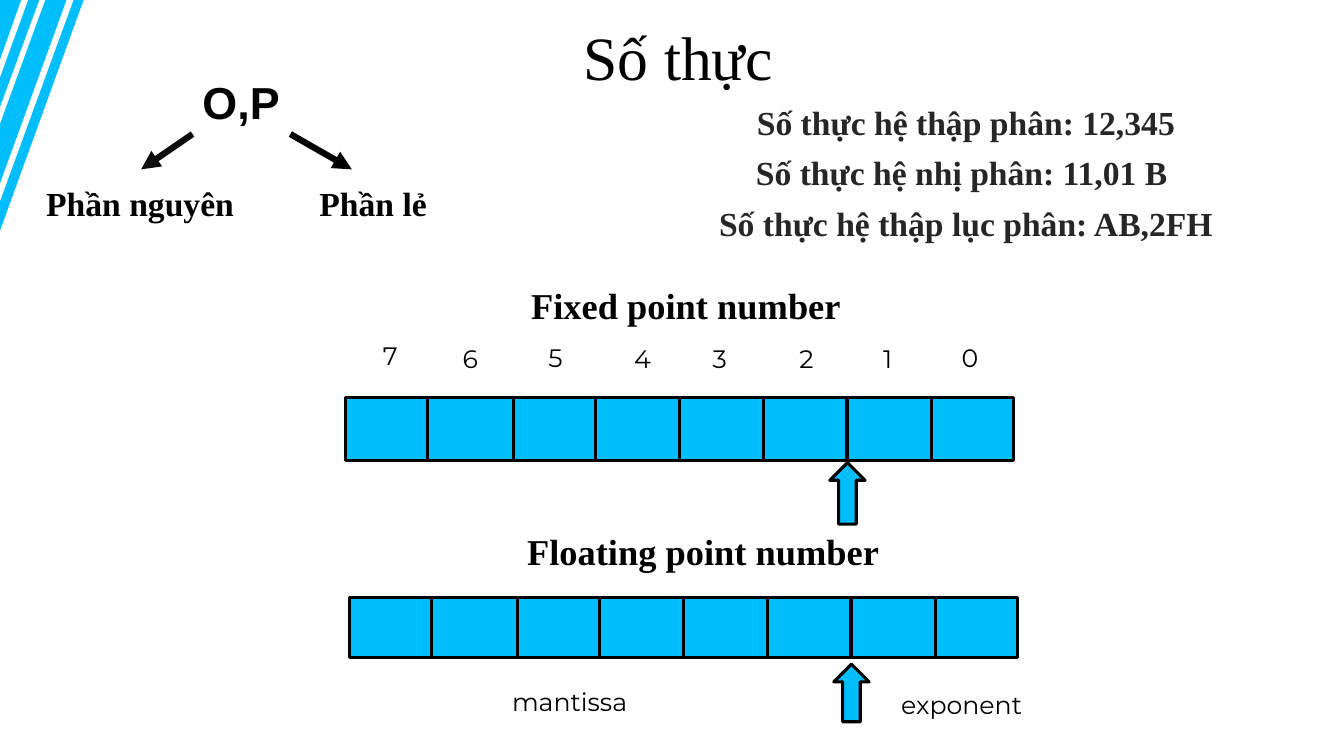
from lxml.etree import SubElement
from pptx import Presentation
from pptx.dml.color import RGBColor
from pptx.enum.shapes import MSO_CONNECTOR as Connector, MSO_SHAPE as Shape
from pptx.enum.text import MSO_ANCHOR as Anchor, MSO_AUTO_SIZE as AutoSize, PP_ALIGN as Align
from pptx.oxml.ns import qn
from pptx.util import Inches, Pt

BLUE, BLACK = "00BDFB", "000000"
SERIF = "Times New Roman"


def color(hex_code):
    return RGBColor.from_string(hex_code)


def add_text(page, text, left, top, width, height, size=18, font="Montserrat", ink=BLACK,
             bold=False, wrap=False, align=Align.LEFT, anchor=Anchor.TOP, spacing=1.0, before=0):
    box = page.shapes.add_textbox(Inches(left), Inches(top), Inches(width), Inches(height))
    frame = box.text_frame
    frame.word_wrap = wrap
    frame.auto_size = AutoSize.NONE if wrap else AutoSize.SHAPE_TO_FIT_TEXT
    frame.vertical_anchor = anchor
    for index, line in enumerate(text.split("\n")):
        para = frame.add_paragraph() if index else frame.paragraphs[0]
        para.alignment = align
        para.line_spacing = spacing
        if index:
            para.space_before = Pt(before)
        span = para.add_run()
        span.text = line
        span.font.name = font
        span.font.size = Pt(size)
        span.font.bold = bold
        span.font.color.rgb = color(ink)


deck = Presentation()
deck.slide_width, deck.slide_height = Inches(13.33), Inches(7.5)
page = deck.slides.add_slide(deck.slide_layouts[6])
shapes = page.shapes

# Corner stripes: each runs from the top edge to the left edge
stripes = [
    [(0.73, 0), (0.83, 0), (0, 2.29), (0, 2)],
    [(0.45, 0), (0.66, 0), (0, 1.82), (0, 1.23)],
    [(0.28, 0), (0.39, 0), (0, 1.06), (0, 0.77)],
    [(0, 0), (0.21, 0), (0, 0.59)],
]
for stripe in stripes:
    corners = [(Inches(x), Inches(y)) for x, y in stripe]
    builder = shapes.build_freeform(*corners[0])
    builder.add_line_segments(corners[1:], close=True)
    band = builder.convert_to_shape()
    band.shadow.inherit = False
    band.fill.solid()
    band.fill.fore_color.rgb = color(BLUE)
    band.line.fill.background()

# Title and examples
add_text(page, "Số thực", 5.69, 0.2, 4.42, 0.81, size=44, font=SERIF, wrap=True,
         anchor=Anchor.MIDDLE, spacing=0.9)
add_text(page, "Số thực hệ thập phân: 12,345\nSố thực hệ nhị phân: 11,01 B \n"
         "Số thực hệ thập lục phân: AB,2FH", 6.66, 1.08, 5.84, 1.31, size=24, font=SERIF,
         ink="262626", bold=True, wrap=True, align=Align.CENTER, anchor=Anchor.MIDDLE,
         spacing=0.9, before=10)

# Integer and fraction parts
add_text(page, "O,P", 1.91, 0.69, 0.98, 0.64, size=32, font="Arial", bold=True)
add_text(page, "Phần nguyên", 0.36, 1.77, 2.08, 0.5, size=24, font=SERIF, bold=True)
add_text(page, "Phần lẻ", 3.07, 1.77, 1.28, 0.5, size=24, font=SERIF, bold=True)

# Lines: start x, start y, end x, end y, colour, weight, arrowhead, joined register
lines = [
    (1.91, 1.33, 1.4, 1.68, "0D0D0D", 4.5, True, None),
    (2.88, 1.33, 3.49, 1.68, BLACK, 4.5, True, None),
]

# Headings and 8-bit registers, each with a pointer at the binary point
add_text(page, "Fixed point number", 5.17, 2.76, 3.3, 0.54, size=26, font=SERIF, bold=True)
add_text(page, "Floating point number", 5.13, 5.2, 3.73, 0.54, size=26, font=SERIF, bold=True)
register_width = 6.62
middle = register_width / 2
dividers = [0.81, 1.66, 2.48, middle, 4.14, 4.97, 5.81]
registers = [(3.43, 3.94, 0.63, 4.59, 0.61), (3.47, 5.93, 0.59, 6.59, 0.57)]
for left, top, height, pointer_top, pointer_height in registers:
    parts = [
        (Shape.RECTANGLE, left, top, register_width, height),
        (Shape.UP_ARROW, left + 4.8, pointer_top, 0.35, pointer_height),
    ]
    drawn = []
    for kind, *place in parts:
        part = shapes.add_shape(kind, *map(Inches, place))
        part.shadow.inherit = False
        part.fill.solid()
        part.fill.fore_color.rgb = color(BLUE)
        part.line.color.rgb = color(BLACK)
        part.line.width = Pt(2.25)
        drawn.append(part)
    for offset in dividers:
        joined = drawn[0] if offset == middle else None
        lines.append((left + offset, top, left + offset, top + height, BLACK, 2.25, False, joined))

# Dividers and arrows
for x1, y1, x2, y2, ink, weight, arrowhead, joined in lines:
    line = shapes.add_connector(Connector.STRAIGHT, *map(Inches, (x1, y1, x2, y2)))
    line.line.color.rgb = color(ink)
    line.line.width = Pt(weight)
    if arrowhead:
        SubElement(line.line._get_or_add_ln(), qn("a:tailEnd"), type="triangle")
    SubElement(line._element.spPr, qn("a:effectLst"))
    if joined is not None:
        line.begin_connect(joined, 0)
        line.end_connect(joined, 2)

# Bit numbers
bit_places = [(9.44, 3.35), (8.66, 3.36), (7.83, 3.36), (6.97, 3.36),
              (6.19, 3.36), (5.34, 3.35), (4.49, 3.36), (3.7, 3.33)]
for bit, (left, top) in enumerate(bit_places):
    add_text(page, str(bit), left, top, 0.37, 0.4)

# Floating point fields
add_text(page, "mantissa", 4.98, 6.76, 1.45, 0.4)
add_text(page, "exponent", 8.84, 6.79, 1.48, 0.4)

deck.save("out.pptx")
